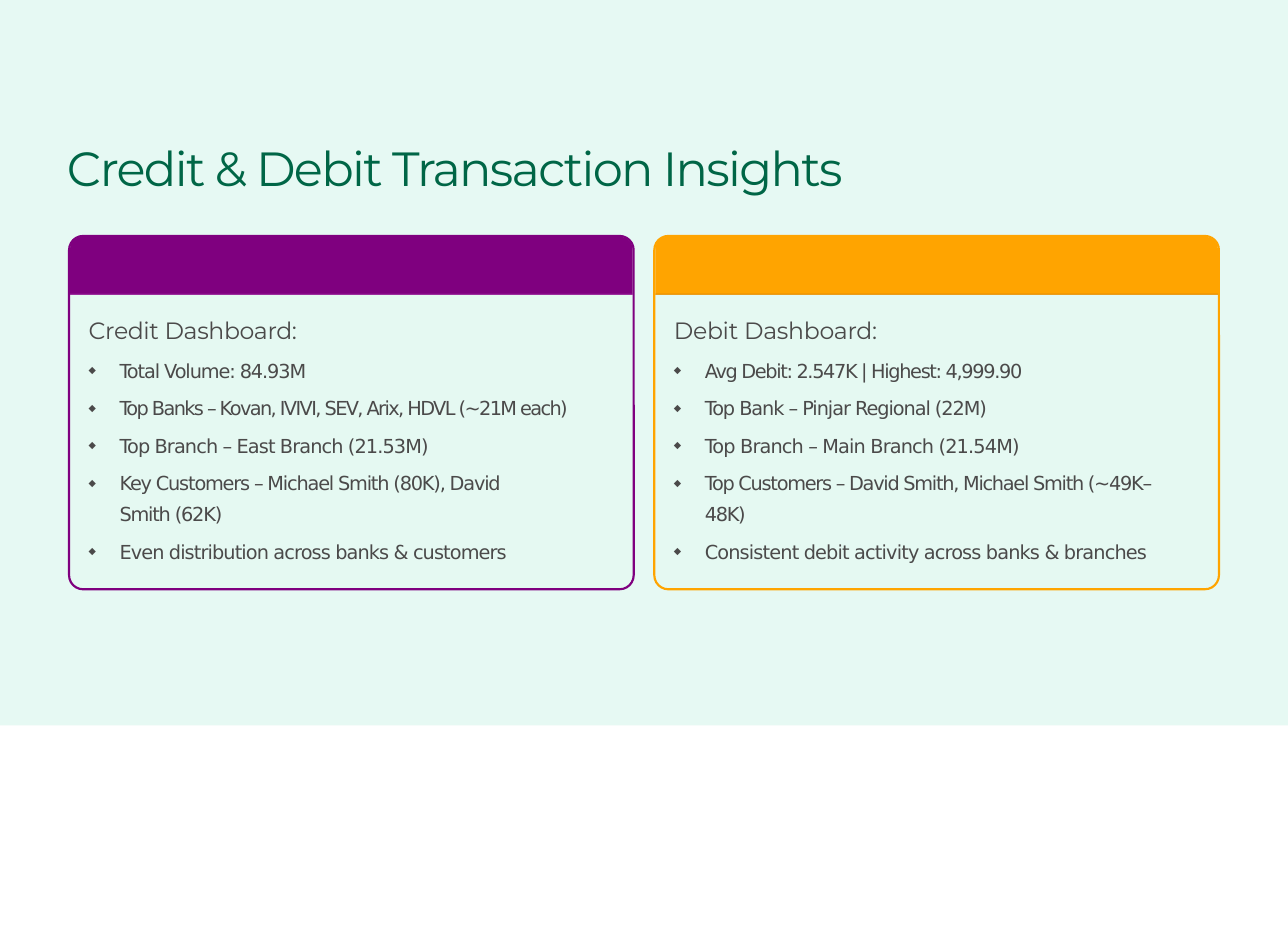
from lxml import etree
from pptx import Presentation
from pptx.dml.color import RGBColor
from pptx.enum.shapes import MSO_SHAPE
from pptx.enum.text import MSO_ANCHOR, MSO_AUTO_SIZE, PP_ALIGN
from pptx.oxml.ns import qn
from pptx.util import Inches, Pt

RECTANGLE = MSO_SHAPE.RECTANGLE
ROUNDED = MSO_SHAPE.ROUNDED_RECTANGLE
ROUND_TOP = MSO_SHAPE.ROUND_2_SAME_RECTANGLE
TOP = MSO_ANCHOR.TOP
LEFT = PP_ALIGN.LEFT
NO_AUTOFIT = MSO_AUTO_SIZE.NONE

TWO_CONTENT_LAYOUT = 3
CARD_LEFT, CARD_TOP, CARD_PITCH = 0.67, 2.29, 5.68

# Each line of text is followed by its letter spacing in points.
DASHBOARDS = [
    ("7F007F", "981898", ("Credit Dashboard:", -0.22), [
        ("Total Volume: 84.93M", -0.74),
        ("Top Banks – Kovan, IVIVI, SEV, Arix, HDVL (~21M each)", -1.09),
        ("Top Branch – East Branch (21.53M)", -0.6),
        ("Key Customers – Michael Smith (80K), David\nSmith (62K)", -0.79),
        ("Even distribution across banks & customers", -0.6),
    ]),
    ("FFA400", "E58A00", ("Debit Dashboard:", -0.18), [
        ("Avg Debit: 2.547K | Highest: 4,999.90", -0.9),
        ("Top Bank – Pinjar Regional (22M)", -0.7),
        ("Top Branch – Main Branch (21.54M)", -0.58),
        ("Top Customers – David Smith, Michael Smith (~49K–\n48K)", -0.85),
        ("Consistent debit activity across banks & branches", -0.56),
    ]),
]


def color(hex_value):
    return RGBColor.from_string(hex_value)


class InsightSlide:
    title_font, body_font = "Montserrat", "DejaVu Sans"
    title_color, text_color = "006646", "4B4A4A"
    mint, card_mint = "E6F9F3", "E5F9F2"

    def __init__(self, deck):
        self.slide = deck.slides.add_slide(deck.slide_layouts[TWO_CONTENT_LAYOUT])

    def block(self, kind, left, top, width, height, fill, line=None, corners=()):
        block = self.slide.shapes.add_shape(
            kind, Inches(left), Inches(top), Inches(width), Inches(height))
        block.shadow.inherit = False
        block.fill.solid()
        block.fill.fore_color.rgb = color(fill)
        if line:
            block.line.color.rgb = color(line)
            block.line.width = Pt(1.5)
        else:
            block.line.fill.background()
        for index, ratio in enumerate(corners):
            block.adjustments[index] = ratio

    def place(self, index, left, top, width, height):
        """Move a placeholder in front of the blocks and return its text frame."""
        holder = self.slide.placeholders[index]
        self.slide.shapes._spTree.append(holder._element)
        holder.left, holder.top = Inches(left), Inches(top)
        holder.width, holder.height = Inches(width), Inches(height)
        frame = holder.text_frame
        frame.margin_left = frame.margin_right = 0
        frame.margin_top = frame.margin_bottom = 0
        frame.word_wrap = True
        frame.auto_size = NO_AUTOFIT
        frame.vertical_anchor = TOP
        return frame

    def add_text(self, paragraph, text, spacing, font, size, ink):
        paragraph.alignment = LEFT
        for number, line in enumerate(text.split("\n")):
            if number:
                paragraph.add_line_break()
            run = paragraph.add_run()
            run.text = line
            run.font.name = font
            run.font.size = Pt(size)
            run.font.color.rgb = color(ink)
            run._r.get_or_add_rPr().set("spc", str(round(spacing * 100)))

    def title(self, text, spacing):
        frame = self.place(0, 0.65, 1.34, 11.07, 0.7)
        self.add_text(frame.paragraphs[0], text, spacing,
                      self.title_font, 33.5, self.title_color)

    def bullet(self, paragraph):
        properties = paragraph._p.get_or_add_pPr()
        properties.set("marL", str(Inches(0.3)))
        properties.set("indent", str(-Inches(0.3)))
        etree.SubElement(properties, qn("a:buSzPct"), val="50000")
        etree.SubElement(properties, qn("a:buFont"), typeface=self.body_font)
        etree.SubElement(properties, qn("a:buChar"), char="◆")

    def dashboard_list(self, index, left, heading, items):
        frame = self.place(index, left, 3.07, 5.2, 2.5)
        first = frame.paragraphs[0]
        first.space_before = Pt(0)
        properties = first._p.get_or_add_pPr()
        properties.set("marL", "0")
        properties.set("indent", "0")
        etree.SubElement(properties, qn("a:buNone"))
        self.add_text(first, *heading, self.title_font, 16.5, self.text_color)
        for text, spacing in items:
            item = frame.add_paragraph()
            item.line_spacing = Pt(21.7)
            item.space_before = Pt(4.5)
            self.bullet(item)
            self.add_text(item, text, spacing, self.body_font, 13.5, self.text_color)

    def card(self, left, accent, edge):
        self.block(ROUNDED, left, CARD_TOP, 5.48, 3.43, self.card_mint, accent, [0.04])
        self.block(ROUND_TOP, left + 0.01, CARD_TOP + 0.01, 5.46, 0.56, accent,
                   corners=[0.21, 0])
        self.block(RECTANGLE, left + 0.01, CARD_TOP + 0.56, 5.46, 0.01, edge)


def main():
    deck = Presentation()
    deck.slide_width, deck.slide_height = Inches(12.5), Inches(9.24)
    insights = InsightSlide(deck)
    insights.block(RECTANGLE, 0, 0, 12.5, 7.04, insights.mint)
    insights.title("Credit & Debit Transaction Insights", -1.16)
    for number, (accent, edge, heading, items) in enumerate(DASHBOARDS):
        left = CARD_LEFT + number * CARD_PITCH
        insights.card(left, accent, edge)
        insights.dashboard_list(number + 1, left + 0.19, heading, items)
    deck.save("out.pptx")


if __name__ == "__main__":
    main()
